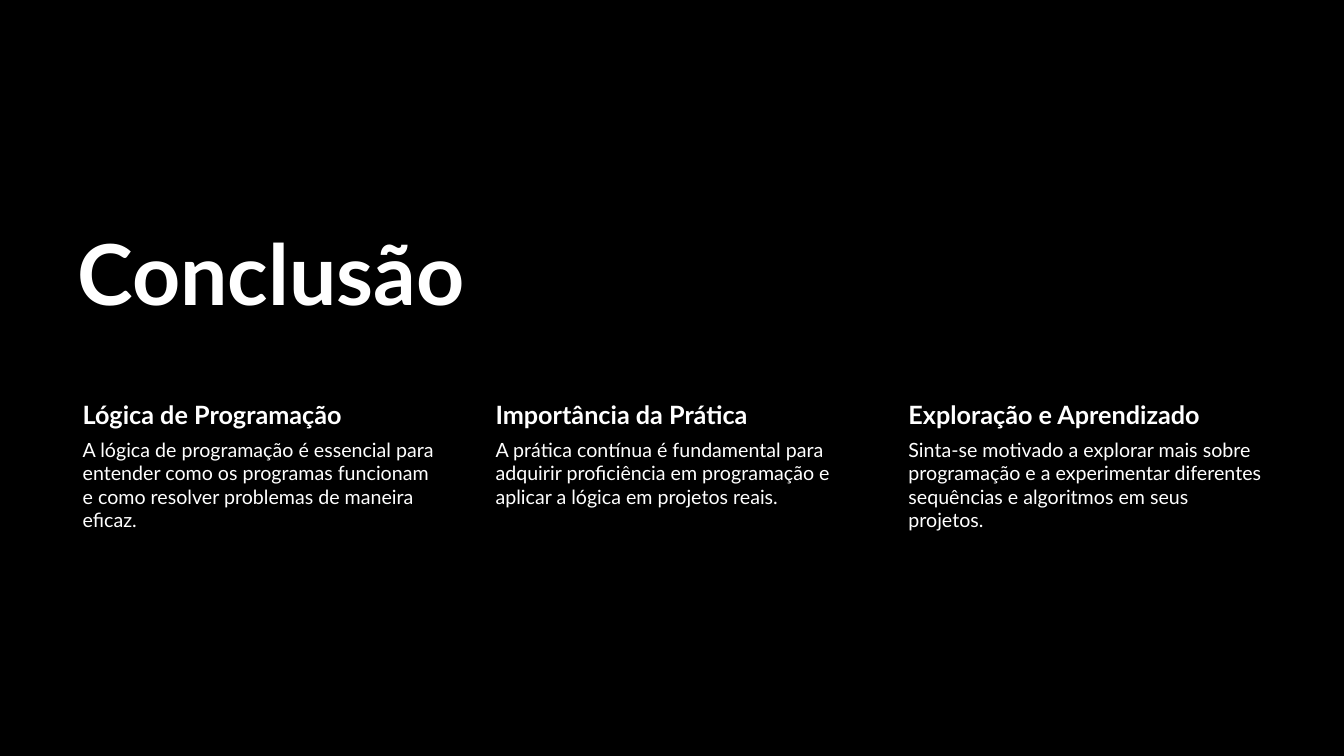
from pptx import Presentation
from pptx.dml.color import RGBColor
from pptx.enum.text import MSO_ANCHOR as Anchor
from pptx.util import Inches, Pt

COLORS = {"background": "000000", "text": "FFFFFF"}
LEFT = 0.67
COLUMN_STEP = 4.095
COLUMN_WIDTH = 3.72

TAKEAWAYS = [
    ("Lógica de Programação",
     "A lógica de programação é essencial para entender como os programas "
     "funcionam e como resolver problemas de maneira eficaz."),
    ("Importância da Prática",
     "A prática contínua é fundamental para adquirir proficiência em "
     "programação e aplicar a lógica em projetos reais."),
    ("Exploração e Aprendizado",
     "Sinta-se motivado a explorar mais sobre programação e a experimentar "
     "diferentes sequências e algoritmos em seus projetos."),
]


class ConclusionSlide:
    """Holds the text style and the slide being built."""

    font_name = "Lato"

    def __init__(self, presentation):
        self.slide = presentation.slides.add_slide(presentation.slide_layouts[6])
        fill = self.slide.background.fill
        fill.solid()
        fill.fore_color.rgb = RGBColor.from_string(COLORS["background"])

    def text(self, content, box, size, bold=False, insets=(0.1, 0.05, 0.1, 0.05),
             anchor=Anchor.TOP, line_spacing=1.0):
        frame = self.slide.shapes.add_textbox(*map(Inches, box)).text_frame
        frame.word_wrap = True
        frame.vertical_anchor = anchor
        (frame.margin_left, frame.margin_top,
         frame.margin_right, frame.margin_bottom) = map(Inches, insets)
        paragraph = frame.paragraphs[0]
        paragraph.text = content
        paragraph.line_spacing = line_spacing
        font = paragraph.font
        font.name, font.size, font.bold = self.font_name, Pt(size), bold
        font.color.rgb = RGBColor.from_string(COLORS["text"])

    def title(self, content):
        self.text(content, (LEFT, 2.02, 8.03, 1.24), 60, bold=True,
                  anchor=Anchor.BOTTOM, line_spacing=0.9)

    def takeaway(self, left, heading, body):
        self.text(heading, (left, 3.93, COLUMN_WIDTH, 0.39), 18, bold=True,
                  insets=(0.15, 0.03, 0.03, 0.03))
        self.text(body, (left, 4.32, COLUMN_WIDTH, 2.33), 14,
                  insets=(0.15, 0.02, 0.02, 0.02))


def main():
    presentation = Presentation()
    presentation.slide_width = Inches(13.33)
    presentation.slide_height = Inches(7.5)
    conclusion = ConclusionSlide(presentation)

    # Title
    conclusion.title("Conclusão")

    # Three takeaways in equal columns
    for column, (heading, body) in enumerate(TAKEAWAYS):
        conclusion.takeaway(LEFT + column * COLUMN_STEP, heading, body)

    presentation.save("out.pptx")


if __name__ == "__main__":
    main()
